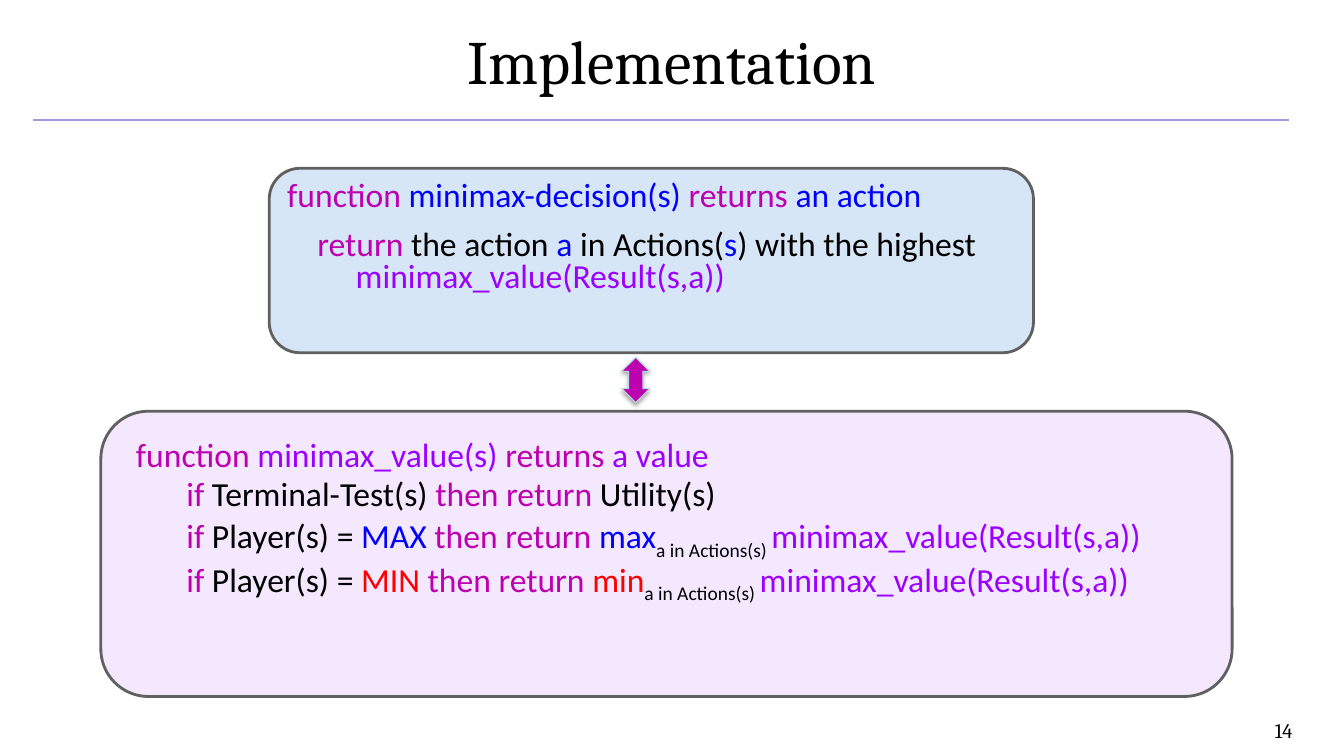
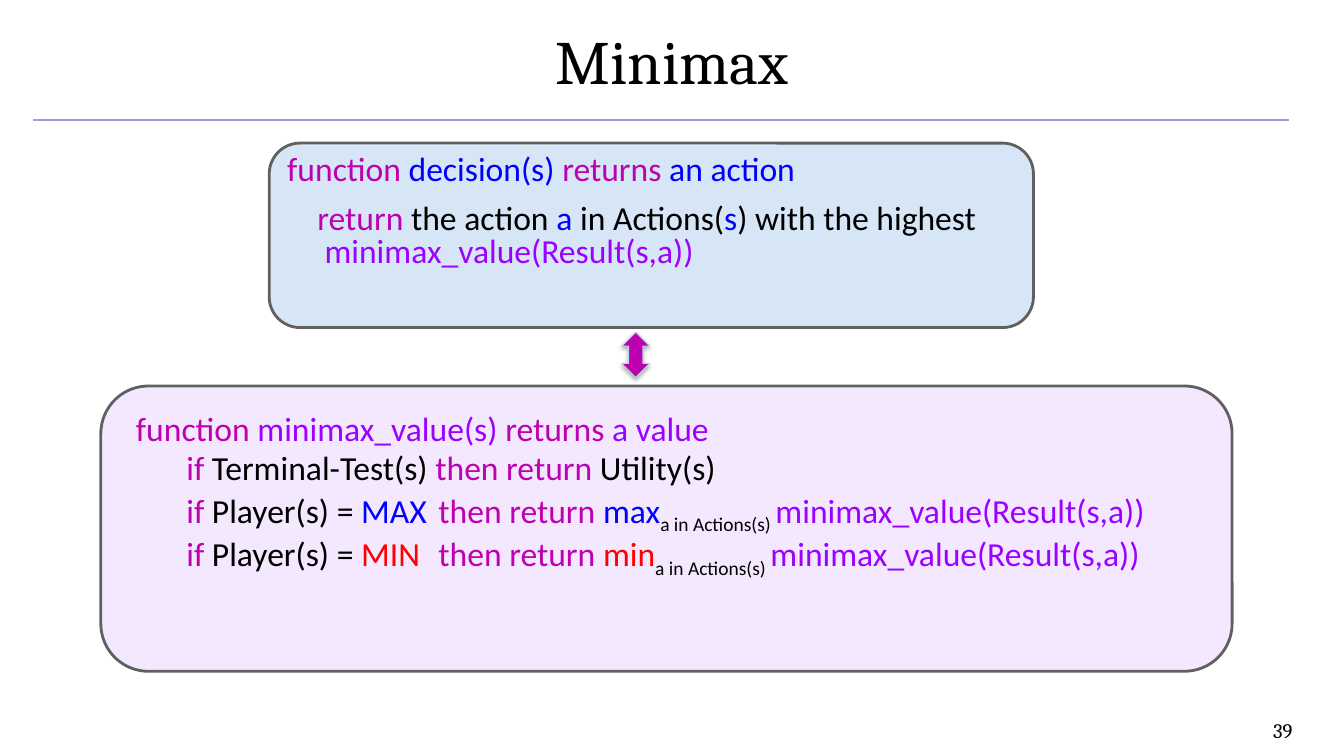
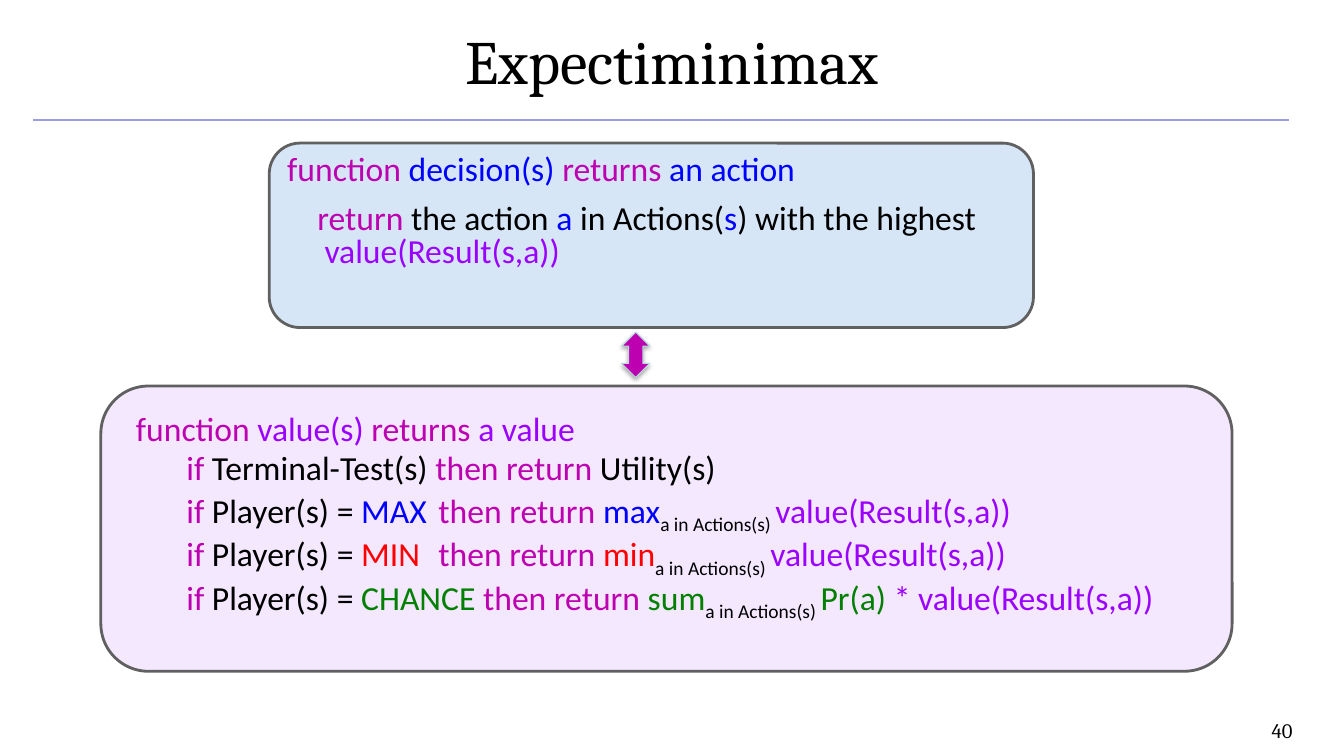
from lxml.etree import SubElement
from pptx import Presentation
from pptx.dml.color import RGBColor
from pptx.enum.shapes import MSO_CONNECTOR, MSO_SHAPE
from pptx.enum.text import MSO_ANCHOR, MSO_AUTO_SIZE, PP_ALIGN
from pptx.oxml.ns import qn
from pptx.util import Inches, Pt

KEY = "BD00B0"
BLUE = "0000FF"
RED = "FF0000"
GREEN = "008000"
VIOLET = "9B01FF"
BLACK = "000000"
EDGE = "606060"
HEAD = "Cambria"
BODY = "Calibri"


def tint(color, hue):
    color.rgb = RGBColor.from_string(hue)


def style(run, face, size, hue):
    run.font.name = face
    run.font.size = Pt(size)
    tint(run.font.color, hue)


def inset(frame, side, top):
    frame.margin_left = frame.margin_right = Inches(side)
    frame.margin_top = frame.margin_bottom = Inches(top)
    frame.word_wrap = True


def child(node, tag, **attrs):
    return SubElement(node, qn(tag), attrs)


def shape(slide, kind, box, fill, edge, width):
    item = slide.shapes.add_shape(kind, *map(Inches, box))
    item.shadow.inherit = False
    item.fill.solid()
    tint(item.fill.fore_color, fill)
    tint(item.line.color, edge)
    item.line.width = Pt(width)
    return item


def panel(slide, box, fill):
    return shape(slide, MSO_SHAPE.ROUNDED_RECTANGLE, box, fill, EDGE, 2)


def code(slide, box, lines):
    frame = slide.shapes.add_textbox(*map(Inches, box)).text_frame
    inset(frame, 0.1, 0.05)
    for row, (left, first, gap, parts) in enumerate(lines):
        para = frame.paragraphs[0] if row == 0 else frame.add_paragraph()
        para.line_spacing = 0.8
        para.space_before = Pt(gap)
        props = para._p.get_or_add_pPr()
        props.set("marL", str(Inches(left)))
        props.set("indent", str(Inches(first)))
        if any("\t" in text for text, *_ in parts):
            tabs = child(props, "a:tabLst")
            child(tabs, "a:tab", pos=str(Inches(3.49)), algn="l")
        for text, hue, *low in parts:
            run = para.add_run()
            run.text = text
            style(run, BODY, 24, hue)
            if low:
                run._r.get_or_add_rPr().set("baseline", "-25000")


def choose(slide, left, top, name, call, hang):
    back = panel(slide, (left, top, 7.58, 1.83), "0066CC")
    hue = back.fill._xPr.find(".//" + qn("a:srgbClr"))
    child(hue, "a:alpha", val="16000")
    code(slide, (left + 0.08, top + 0.08, 7.25, 1.67), [
        (0, 0, 0, [("function ", KEY), (name + " ", BLUE),
                   ("returns ", KEY), ("an action", BLUE)]),
        (hang, 0.3 - hang, 12, [
            ("return", KEY), (" the action ", BLACK), ("a", BLUE),
            (" in Actions(", BLACK), ("s", BLUE),
            (") with the highest ", BLACK),
            (call + "(Result(s,a))", VIOLET)]),
    ])


def case(who, gap, pick, hue, tail):
    return [("if", KEY), (" Player(s) = ", BLACK), (who + gap, hue),
            ("then return ", KEY), (pick, hue),
            ("a in Actions(s) ", BLACK, True), *tail]


def value(slide, left, top, call, gap, chance):
    panel(slide, (left, top, 11.22, 2.83), "F4E8FF")
    result = call + "(Result(s,a))"
    tail = [(result, VIOLET)]
    rows = [
        [("if", KEY), (" Terminal-Test(s) ", BLACK),
         ("then return", KEY), (" Utility(s)", BLACK)],
        case("MAX", gap, "max", BLUE, tail),
        case("MIN", gap, "min", RED, tail),
    ]
    if chance:
        rows.append(case("CHANCE", " ", "sum", GREEN,
                         [("Pr(a) ", GREEN), ("* " + result, VIOLET)]))
    start = [("function ", KEY), (call + "(s) ", VIOLET),
             ("returns ", KEY), ("a value", VIOLET)]
    code(slide, (left + 0.25, top + 0.25, 11.42, 2.5),
         [(0, 0, 0, start)] + [(0, 0.5, 4.8, row) for row in rows])


def arrow(slide, left, top):
    item = shape(slide, MSO_SHAPE.LEFT_RIGHT_ARROW, (left, top, 0.45, 0.28),
                 KEY, "B6DCDF", 0.75)
    item.rotation = 90
    glow = child(item._element.spPr.find(qn("a:effectLst")), "a:outerShdw",
                 blurRad=str(Pt(3.1)), dist=str(Pt(1.8)), dir="5400000",
                 rotWithShape="0")
    hue = child(glow, "a:srgbClr", val=BLACK)
    child(hue, "a:alpha", val="35000")


def title(slide, text):
    item = slide.shapes.title
    item.left, item.top, item.width, item.height = map(
        Inches, (0, -0.03, 13.33, 1.25))
    frame = item.text_frame
    frame.text = text
    inset(frame, 0.07, 0.04)
    frame.auto_size = MSO_AUTO_SIZE.NONE
    frame.vertical_anchor = MSO_ANCHOR.MIDDLE
    para = frame.paragraphs[0]
    para.alignment = PP_ALIGN.CENTER
    style(para.runs[0], HEAD, 44, BLACK)


def rule(slide):
    line = slide.shapes.add_connector(
        MSO_CONNECTOR.STRAIGHT, *map(Inches, (0.33, 1.19, 12.78, 1.19)))
    tint(line.line.color, "9C9CDF")
    line.line.width = Pt(1)
    child(line._element.spPr, "a:effectLst")


def footer(slide, page):
    box = slide.shapes.add_textbox(*map(Inches, (10.56, 7.08, 2.33, 0.32)))
    frame = box.text_frame
    frame.text = str(page)
    inset(frame, 0.07, 0.04)
    para = frame.paragraphs[0]
    para.alignment = PP_ALIGN.RIGHT
    style(para.runs[0], HEAD, 14.7, BLACK)


def build(deck, head, page, top, name, call, hang, gap, chance=False):
    slide = deck.slides.add_slide(deck.slide_layouts[5])
    rule(slide)
    title(slide, head)
    value(slide, 1, top + 2.41, call, gap, chance)
    choose(slide, 2.67, top, name, call, hang)
    arrow(slide, 6.08, top + 1.96)
    footer(slide, page)


def main():
    deck = Presentation()
    deck.slide_width = Inches(13.33)
    deck.slide_height = Inches(7.5)
    build(deck, "Implementation", 14, 1.67, "minimax-decision(s)",
          "minimax_value", 0.68, " ")
    build(deck, "Minimax", 39, 1.42, "decision(s)",
          "minimax_value", 0.37, "\t")
    build(deck, "Expectiminimax", 40, 1.42, "decision(s)",
          "value", 0.37, "\t", True)
    deck.save("out.pptx")


if __name__ == "__main__":
    main()
